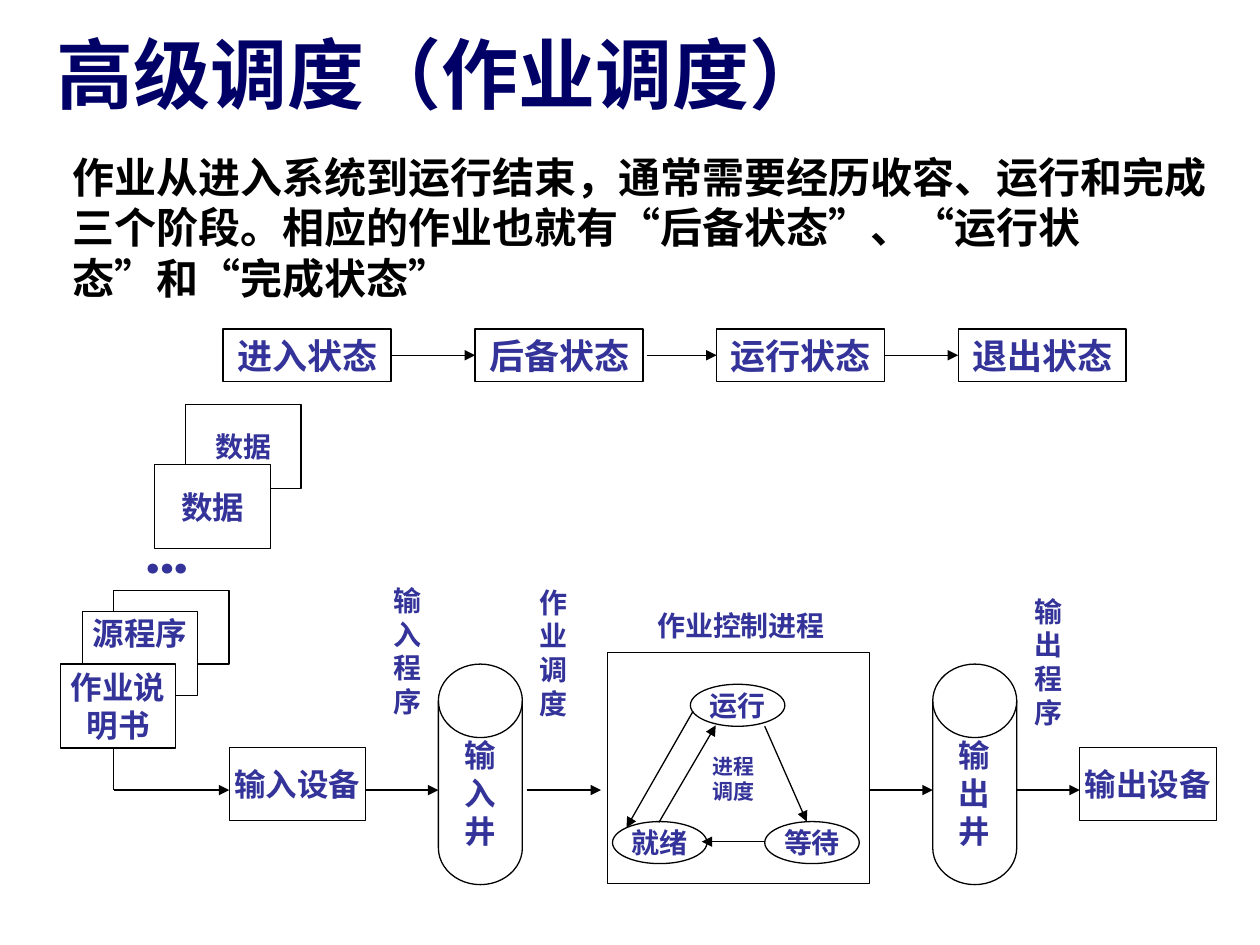
from lxml.etree import SubElement
from pptx import Presentation
from pptx.dml.color import RGBColor
from pptx.enum.lang import MSO_LANGUAGE_ID as Language
from pptx.enum.shapes import MSO_CONNECTOR as Connector, MSO_SHAPE as Shape
from pptx.enum.text import MSO_ANCHOR as Anchor, PP_ALIGN as Align
from pptx.oxml.ns import qn
from pptx.util import Pt

COLORS = {"title": "000066", "label": "333399", "ink": "000000", "paper": "FFFFFF"}
FONT = "Karla"


def color(name):
    return RGBColor.from_string(COLORS[name])


def format_text(text_frame, size, color_name, font=FONT, align=Align.LEFT):
    for paragraph in text_frame.paragraphs:
        paragraph.alignment = align
        for run in paragraph.runs:
            run.font.name = font
            run.font.size = Pt(size)
            run.font.bold = True
            run.font.color.rgb = color(color_name)
            run.font.language_id = Language.SIMPLIFIED_CHINESE


def place(shape, left, top, width, height):
    shape.left, shape.top = Pt(left), Pt(top)
    shape.width, shape.height = Pt(width), Pt(height)


def add_box(slide, left, top, width, height, text="", size=18,
            kind=Shape.RECTANGLE, line="ink", top_inset=None, right_inset=0):
    shape = slide.shapes.add_shape(kind, Pt(left), Pt(top), Pt(width), Pt(height))
    shape.shadow.inherit = False
    shape.fill.solid()
    shape.fill.fore_color.rgb = color("paper")
    shape.line.color.rgb = color(line)
    shape.line.width = Pt(0.75)
    text_frame = shape.text_frame
    text_frame.word_wrap = False
    text_frame.margin_left = text_frame.margin_bottom = 0
    text_frame.margin_right = Pt(right_inset)
    text_frame.margin_top = Pt(top_inset or 0)
    text_frame.vertical_anchor = Anchor.MIDDLE if top_inset is None else Anchor.TOP
    if text:
        text_frame.text = text
        format_text(text_frame, size, "label", align=Align.CENTER)
    return shape


def add_label(slide, left, top, width, height, text, size=16, **insets):
    return add_box(slide, left, top, width, height, text, size, line="paper", **insets)


def add_line(slide, x1, y1, x2, y2, arrow=True):
    line = slide.shapes.add_connector(Connector.STRAIGHT, Pt(x1), Pt(y1), Pt(x2), Pt(y2))
    line.line.color.rgb = color("ink")
    line.line.width = Pt(0.75)
    properties = line._element.spPr
    if arrow:
        SubElement(properties.get_or_add_ln(), qn("a:tailEnd"), type="triangle")
    SubElement(properties, qn("a:effectLst"))


def add_title(slide, left, top, width, height):
    title = slide.shapes.title
    place(title, left, top, width, height)
    title.text_frame.text = "高级调度（作业调度）"
    title.text_frame.vertical_anchor = Anchor.BOTTOM
    format_text(title.text_frame, 44, "title")


def add_intro(slide, left, top, width, height):
    box = slide.shapes.add_textbox(Pt(left), Pt(top), Pt(width), Pt(height))
    box.text_frame.word_wrap = True
    box.text_frame.text = ("作业从进入系统到运行结束，通常需要经历收容、运行和完成三个阶段。"
                           "相应的作业也就有“后备状态”、“运行状态”和“完成状态”")
    format_text(box.text_frame, 24, "ink", "Times New Roman")


def add_state_row(slide, left, top, width, height):
    states = ["进入状态", "后备状态", "运行状态", "退出状态"]
    offsets = [0, 144, 282, 420]
    box_width = width - offsets[-1]
    for state, offset in zip(states, offsets):
        add_box(slide, left + offset, top, box_width, height, state, 20)
    middle = top + height / 2
    for start, end, gap in zip(offsets, offsets[1:], (0, 2, 0)):
        add_line(slide, left + start + box_width + gap, middle, left + end, middle)


def add_job_stack(slide, left, top):
    card = (66, 48)
    add_box(slide, left + 71.5, top, *card, "数据", 16)
    add_label(slide, left + 24.5, top + 70, 84, 24, "…", 36, right_inset=11)
    add_box(slide, left + 54, top + 34.5, *card, "数据")
    add_box(slide, left + 30.5, top + 106.5, 66, 42)
    add_box(slide, left + 12.5, top + 118.5, *card, "源程序", top_inset=1.5)
    add_box(slide, left, top + 148.5, *card, "作业说\n明书")


def add_control_process(slide, left, top, width, height):
    add_label(slide, left + 18, top - 27.5, 117, 24, "作业控制进程")
    add_box(slide, left, top, width, height)
    add_label(slide, left + 60, top + 48, 24, 48, "进程\n调度", 12)
    for text, x, y in [("运行", 47.5, 18), ("等待", 90, 96.5), ("就绪", 3, 96.5)]:
        add_box(slide, left + x, top + y, 54, 24, text, 16, Shape.OVAL)
    transitions = [(90, 42, 114, 96.5), (90, 108, 54, 108),
                   (49, 33.5, 11, 100), (29.5, 97, 62, 41.5)]
    for x1, y1, x2, y2 in transitions:
        add_line(slide, left + x1, top + y1, left + x2, top + y2)


def add_device_flow(slide, left, top, height):
    middle = top + 72
    for x, text in [(66, "输入设备"), (552, "输出设备")]:
        add_box(slide, left + x, middle - 24.5, 78, 42, text)
    for x, text in [(185.5, "输\n入\n井"), (468, "输\n出\n井")]:
        add_box(slide, left + x, top, 48, height, text, kind=Shape.FLOWCHART_MAGNETIC_DISK)
    labels = [(156, -61.5, "输\n入\n程\n序", None), (522, -55.5, "输\n出\n程\n序", None),
              (239.5, -50.5, "作\n业\n调\n度", 5.5)]
    for x, y, text, inset in labels:
        add_label(slide, left + x, top + y, 24, 108, text, top_inset=inset)
    add_control_process(slide, left + 282, top - 6.5, 150, 132)
    add_line(slide, left, middle - 24.5, left, middle, arrow=False)
    for start, end in [(0, 66), (144, 185.5), (236, 278.5), (432, 468), (516, 552)]:
        add_line(slide, left + start, middle, left + end, middle)


def main():
    presentation = Presentation()
    presentation.slide_width, presentation.slide_height = Pt(720), Pt(540)
    slide = presentation.slides.add_slide(presentation.slide_layouts[5])
    add_title(slide, 25, 16.5, 679, 55)
    add_state_row(slide, 127.5, 188, 516, 30)
    add_job_stack(slide, 34.5, 231)
    add_device_flow(slide, 65, 379.5, 126)
    add_intro(slide, 34.5, 83, 668, 94)
    presentation.save("out.pptx")


if __name__ == "__main__":
    main()
